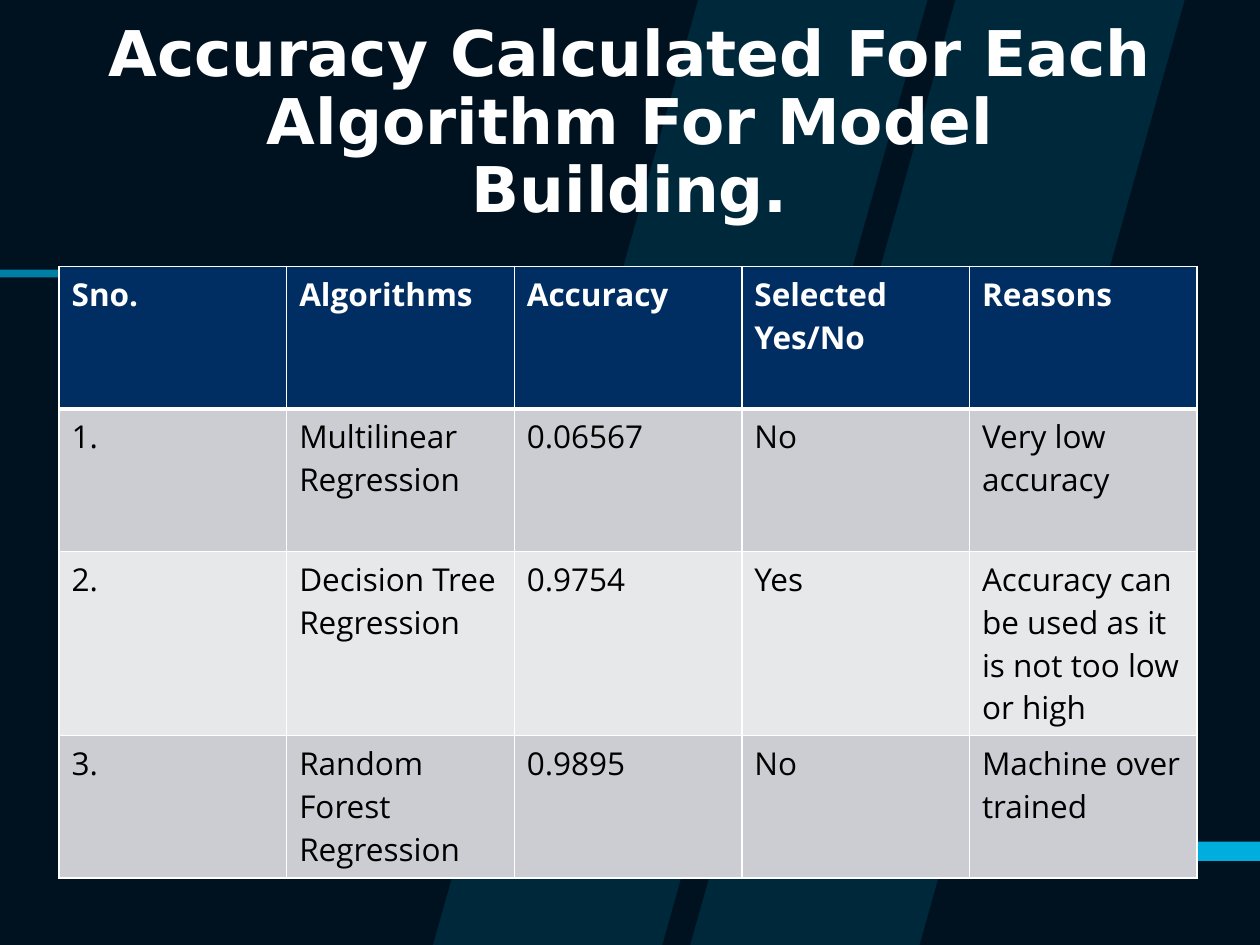
from dataclasses import dataclass

from lxml.etree import SubElement
from pptx import Presentation
from pptx.dml.color import RGBColor
from pptx.enum.text import MSO_ANCHOR, PP_ALIGN
from pptx.oxml.ns import qn
from pptx.util import Pt


@dataclass(frozen=True)
class Theme:
    background: str = "00111F"
    accent: str = "00AEDE"
    header: str = "002E62"
    odd_row: str = "CCCDD3"
    even_row: str = "E7E8EA"
    light: str = "FFFFFF"
    dark: str = "000000"
    title_font: str = "DejaVu Sans"
    table_font: str = "Open Sans"
    title_size: int = 36
    table_size: int = 18


THEME = Theme()
SLIDE_WIDTH, SLIDE_HEIGHT = 720, 540

HEADINGS = ["Sno.", "Algorithms", "Accuracy", "Selected\nYes/No", "Reasons"]
RESULTS = [
    ["1.", "Multilinear Regression", "0.06567", "No", "Very low accuracy"],
    ["2.", "Decision Tree Regression", "0.9754", "Yes",
     "Accuracy can be used as it is not too low or high"],
    ["3.", "Random Forest Regression", "0.9895", "No", "Machine over trained"],
]
COLUMN_WIDTH = 130.08
THREE_LINE_ROW, FOUR_LINE_ROW = 81.4, 105.2
ROW_HEIGHTS = [THREE_LINE_ROW, THREE_LINE_ROW, FOUR_LINE_ROW, THREE_LINE_ROW]


def paint(fill, color, opacity=100):
    fill.solid()
    fill.fore_color.rgb = RGBColor.from_string(color)
    if opacity < 100:
        srgb = fill._xPr.find(f".//{qn('a:srgbClr')}")
        SubElement(srgb, qn("a:alpha"), val=str(opacity * 1000))


def add_polygons(slide, outlines, opacity=100):
    """Draw closed outlines, given in points, as one accent shape."""
    builder = None
    for outline in outlines:
        start, *rest = [(Pt(x), Pt(y)) for x, y in outline]
        if builder is None:
            builder = slide.shapes.build_freeform(*start)
        else:
            builder.move_to(*start)
        builder.add_line_segments(rest, close=True)
    shape = builder.convert_to_shape()
    shape.shadow.inherit = False
    shape.line.fill.background()
    paint(shape.fill, THEME.accent, opacity)


def add_run(paragraph, text, font_name, size, color, bold):
    run = paragraph.add_run()
    run.text = text
    run.font.name = font_name
    run.font.size = Pt(size)
    run.font.bold = bold
    run.font.color.rgb = RGBColor.from_string(color)


def add_backdrop(slide):
    paint(slide.background.fill, THEME.background)
    band_width, slant = 131, 151.5
    bands = [
        [(left + slant, 0), (left, SLIDE_HEIGHT),
         (left + band_width, SLIDE_HEIGHT), (left + band_width + slant, 0)]
        for left in (394.5, 247.5)
    ]
    add_polygons(slide, bands, opacity=15)
    add_polygons(slide, [[(SLIDE_WIDTH, 481), (SLIDE_WIDTH, 492),
                          (673, 492), (667.5, 481)]])
    add_polygons(slide, [[(0, 154), (0, 158.5), (308, 158.5), (311, 154)]],
                 opacity=70)


def add_title(slide, text):
    box = slide.shapes.add_textbox(Pt(49.5), Pt(28.5), Pt(621), Pt(104.25))
    frame = box.text_frame
    frame.word_wrap = True
    frame.vertical_anchor = MSO_ANCHOR.BOTTOM
    paragraph = frame.paragraphs[0]
    paragraph.alignment = PP_ALIGN.CENTER
    paragraph.line_spacing = 0.9
    add_run(paragraph, text, THEME.title_font, THEME.title_size,
            THEME.light, True)


def set_borders(cell, top, bottom):
    properties = cell._tc.get_or_add_tcPr()
    for side, width in (("L", 1), ("R", 1), ("T", top), ("B", bottom)):
        line = SubElement(properties, qn(f"a:ln{side}"), w=str(Pt(width)))
        solid = SubElement(line, qn("a:solidFill"))
        SubElement(solid, qn("a:srgbClr"), val=THEME.light)


def fill_cell(cell, text, row):
    is_header = row == 0
    set_borders(cell, top=3 if row == 1 else 1, bottom=3 if is_header else 1)
    stripe = THEME.odd_row if row % 2 else THEME.even_row
    paint(cell.fill, THEME.header if is_header else stripe)
    frame = cell.text_frame
    for index, line in enumerate(text.split("\n")):
        paragraph = frame.add_paragraph() if index else frame.paragraphs[0]
        add_run(paragraph, line, THEME.table_font, THEME.table_size,
                THEME.light if is_header else THEME.dark, is_header)


def add_results_table(slide, rows):
    table = slide.shapes.add_table(
        len(rows), len(rows[0]), Pt(33.75), Pt(152.4),
        Pt(COLUMN_WIDTH * len(rows[0])), Pt(sum(ROW_HEIGHTS))).table
    for column in table.columns:
        column.width = Pt(COLUMN_WIDTH)
    for row, (texts, height) in enumerate(zip(rows, ROW_HEIGHTS)):
        table.rows[row].height = Pt(height)
        for column, text in enumerate(texts):
            fill_cell(table.cell(row, column), text, row)


def main():
    presentation = Presentation()
    presentation.slide_width = Pt(SLIDE_WIDTH)
    presentation.slide_height = Pt(SLIDE_HEIGHT)
    slide = presentation.slides.add_slide(presentation.slide_layouts[6])
    add_backdrop(slide)
    add_title(slide, "Accuracy Calculated For Each Algorithm For Model Building.")
    add_results_table(slide, [HEADINGS, *RESULTS])
    presentation.save("out.pptx")


if __name__ == "__main__":
    main()
